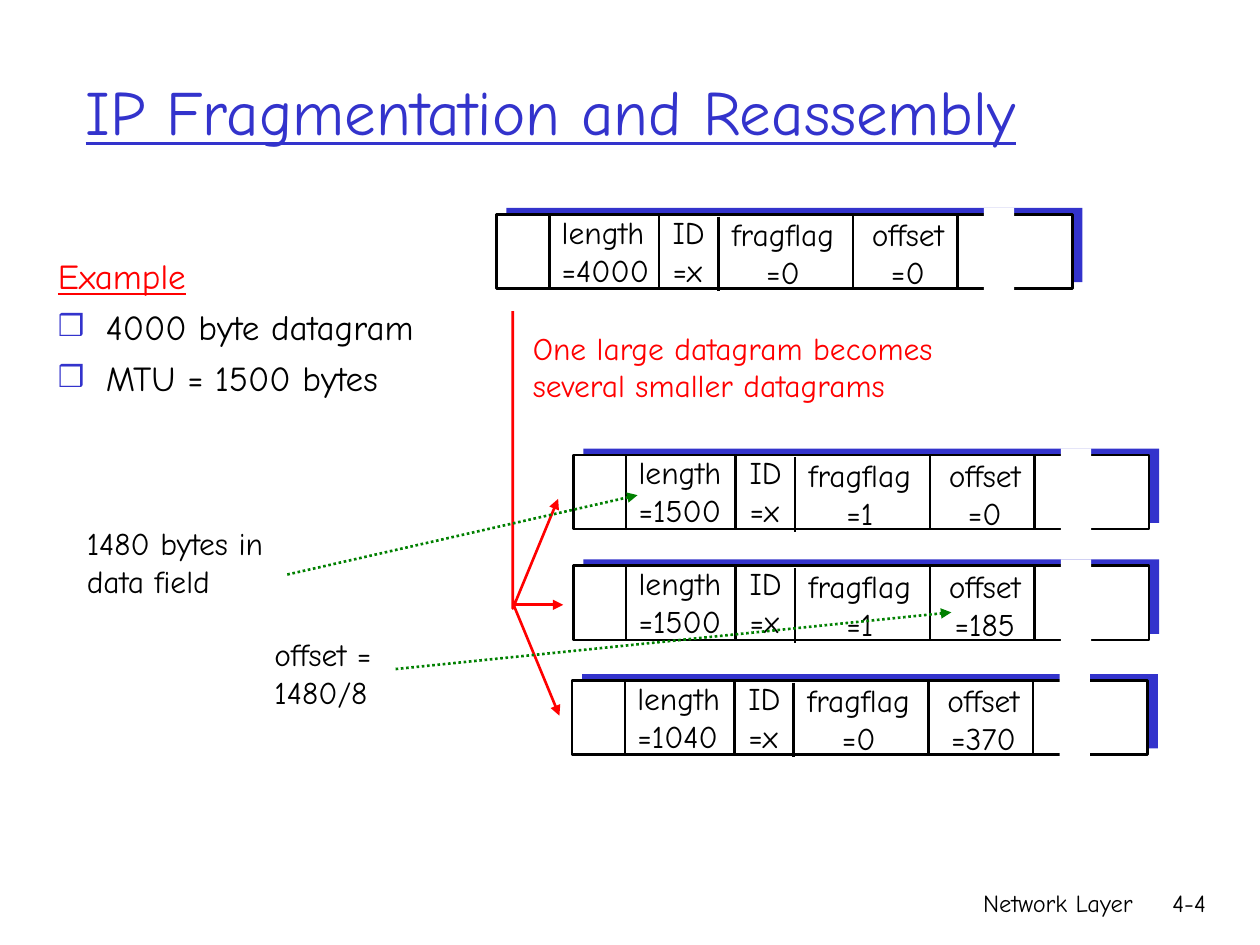
from dataclasses import dataclass

from lxml import etree
from pptx import Presentation
from pptx import util as u
from pptx.dml.color import RGBColor
from pptx.enum import dml, shapes, text
from pptx.oxml import ns

FONT = "Comic Neue"
BLACK, WHITE, BLUE, RED, GREEN = "000000", "FFFFFF", "3333CC", "FF0000", "008000"
LEFT, CENTER, RIGHT = text.PP_ALIGN.LEFT, text.PP_ALIGN.CENTER, text.PP_ALIGN.RIGHT
FRAME_WIDTH, FRAME_HEIGHT = 4.57, 0.59


@dataclass
class Datagram:
    left: float
    top: float
    length: int
    fragflag: int
    offset: int


@dataclass
class Field:
    name: str
    left: float
    top: float
    width: float
    align: text.PP_ALIGN


# Field labels and dividers, measured from the corner of a datagram frame
FIELDS = [
    Field("ID", 1.3, -0.06, 0.55, LEFT),
    Field("offset", 2.87, -0.04, 0.79, CENTER),
    Field("fragflag", 1.76, -0.04, 1.03, CENTER),
    Field("length", 0.42, -0.06, 1, LEFT),
]
DIVIDERS = [(0.42, 0), (1.29, 0), (1.76, 0.02), (2.83, 0), (3.66, 0)]

DATAGRAMS = [
    Datagram(3.94, 1.7, 4000, 0, 0),
    Datagram(4.55, 3.61, 1500, 1, 0),
    Datagram(4.55, 4.49, 1500, 1, 185),
    Datagram(4.54, 5.4, 1040, 0, 370),
]


def color(value: str) -> RGBColor:
    return RGBColor.from_string(value)


def add_element(parent, tag: str, **attributes: str):
    return etree.SubElement(parent, ns.qn(tag), attributes)


def place(shape, left: float, top: float, width: float, height: float) -> None:
    shape.left, shape.top = u.Inches(left), u.Inches(top)
    shape.width, shape.height = u.Inches(width), u.Inches(height)


def format_paragraph(paragraph, size: float, hue: str, align=LEFT, underline=False) -> None:
    paragraph.alignment = align
    font = paragraph.font
    font.name, font.size, font.underline = FONT, u.Pt(size), underline
    font.color.rgb = color(hue)


def add_text(slide, words: str, left: float, top: float, width: float, height: float = 0.7,
             size: float = 18, hue: str = BLACK, align=LEFT, wrap: bool = False) -> None:
    box = slide.shapes.add_textbox(*map(u.Inches, (left, top, width, height)))
    frame = box.text_frame
    frame.word_wrap = wrap
    frame.auto_size = text.MSO_AUTO_SIZE.NONE if wrap else text.MSO_AUTO_SIZE.SHAPE_TO_FIT_TEXT
    frame.text = words
    for paragraph in frame.paragraphs:
        format_paragraph(paragraph, size, hue, align)


def add_rectangle(slide, left: float, top: float, width: float, height: float,
                  fill: str, outlined: bool = False) -> None:
    shape = slide.shapes.add_shape(shapes.MSO_SHAPE.RECTANGLE,
                                   *map(u.Inches, (left, top, width, height)))
    shape.shadow.inherit = False
    shape.fill.solid()
    shape.fill.fore_color.rgb = color(fill)
    if outlined:
        shape.line.color.rgb = color(BLACK)
        shape.line.width = u.Pt(1.5)
    else:
        shape.line.fill.background()


def style_line(shape, hue: str, arrow: bool, dotted: bool = False) -> None:
    shape.line.color.rgb = color(hue)
    shape.line.width = u.Pt(1.5)
    if dotted:
        shape.line.dash_style = dml.MSO_LINE.ROUND_DOT
    if arrow:
        add_element(shape.line._get_or_add_ln(), "a:tailEnd", type="triangle")


def add_line(slide, x1: float, y1: float, x2: float, y2: float, hue: str = BLACK,
             arrow: bool = False, dotted: bool = False) -> None:
    line = slide.shapes.add_connector(shapes.MSO_CONNECTOR.STRAIGHT,
                                      *map(u.Inches, (x1, y1, x2, y2)))
    style_line(line, hue, arrow, dotted)
    add_element(line._element.spPr, "a:effectLst")


def add_datagram(slide, datagram: Datagram) -> None:
    left, top = datagram.left, datagram.top
    add_rectangle(slide, left + 0.08, top - 0.05, FRAME_WIDTH, FRAME_HEIGHT, BLUE)
    add_rectangle(slide, left, top, FRAME_WIDTH, FRAME_HEIGHT, WHITE, outlined=True)
    values = {"ID": "x", "offset": datagram.offset,
              "fragflag": datagram.fragflag, "length": datagram.length}
    for field in FIELDS:
        add_text(slide, f"{field.name}\n={values[field.name]}", left + field.left,
                 top + field.top, field.width, align=field.align)
    for x, drop in DIVIDERS:
        add_line(slide, left + x, top + drop, left + x, top + drop + FRAME_HEIGHT)
    # White gap that breaks the data field
    add_rectangle(slide, left + 3.87, top - 0.05, 0.24, 0.66, WHITE)


def fill_title(slide) -> None:
    title = slide.shapes.title
    place(title, 0.58, 0.25, 8.5, 1.25)
    frame = title.text_frame
    frame.text = "IP Fragmentation and Reassembly"
    frame.auto_size = text.MSO_AUTO_SIZE.NONE
    frame.vertical_anchor = text.MSO_ANCHOR.MIDDLE
    format_paragraph(frame.paragraphs[0], 36, BLUE, underline=True)


def fill_example(slide) -> None:
    body = slide.placeholders[1]
    place(body, 0.36, 1.97, 3.1, 1.84)
    frame = body.text_frame
    frame.text = "Example\n4000 byte datagram\nMTU = 1500 bytes"
    frame.auto_size = text.MSO_AUTO_SIZE.NONE
    for index, paragraph in enumerate(frame.paragraphs):
        heading = index == 0
        format_paragraph(paragraph, 20, RED if heading else BLACK, underline=heading)
        paragraph.space_before = u.Pt(5)
        properties = paragraph._p.get_or_add_pPr()
        indent = u.Inches(0.38)
        properties.set("marL", str(indent))
        properties.set("indent", str(-indent))
        if heading:
            add_element(properties, "a:buNone")
        else:
            add_element(add_element(properties, "a:buClr"), "a:srgbClr", val=BLUE)
            add_element(properties, "a:buSzPct", val="85000")
            add_element(properties, "a:buChar", char="❒")
        # Font defaults must follow the bullet settings
        properties.append(properties.find(ns.qn("a:defRPr")))


def add_fragment_arrows(slide) -> None:
    builder = slide.shapes.build_freeform(u.Inches(4.07), u.Inches(2.47))
    corners = [(4.07, 4.83), (4.43, 3.96)]
    builder.add_line_segments([(u.Inches(x), u.Inches(y)) for x, y in corners], close=False)
    trunk = builder.convert_to_shape()
    trunk.shadow.inherit = False
    trunk.fill.background()
    style_line(trunk, RED, arrow=True)
    add_line(slide, 4.07, 4.8, 4.47, 4.8, RED, arrow=True)
    add_line(slide, 4.08, 4.81, 4.44, 5.68, RED, arrow=True)


def main() -> None:
    presentation = Presentation()
    presentation.slide_width, presentation.slide_height = u.Inches(10), u.Inches(7.5)
    slide = presentation.slides.add_slide(presentation.slide_layouts[1])

    # Footer
    add_text(slide, "Network Layer", 5.92, 7, 3.17, 0.5, 14, align=RIGHT, wrap=True)
    add_text(slide, "4-4", 8.93, 7, 0.74, 0.5, 14, align=RIGHT, wrap=True)

    fill_title(slide)
    fill_example(slide)

    # The large datagram and its fragments
    for datagram in DATAGRAMS:
        add_datagram(slide, datagram)
    add_fragment_arrows(slide)
    add_text(slide, "One large datagram becomes\nseveral smaller datagrams",
             4.13, 2.56, 3.39, hue=RED)

    # Remarks with dotted pointers
    add_text(slide, "1480 bytes in\vdata field", 0.59, 4.11, 1.69)
    add_line(slide, 2.28, 4.56, 5.06, 3.93, GREEN, arrow=True, dotted=True)
    add_text(slide, "offset =\n1480/8", 2.08, 4.99, 1.02)
    add_line(slide, 3.14, 5.31, 7.55, 4.86, GREEN, arrow=True, dotted=True)

    presentation.save("out.pptx")


if __name__ == "__main__":
    main()
